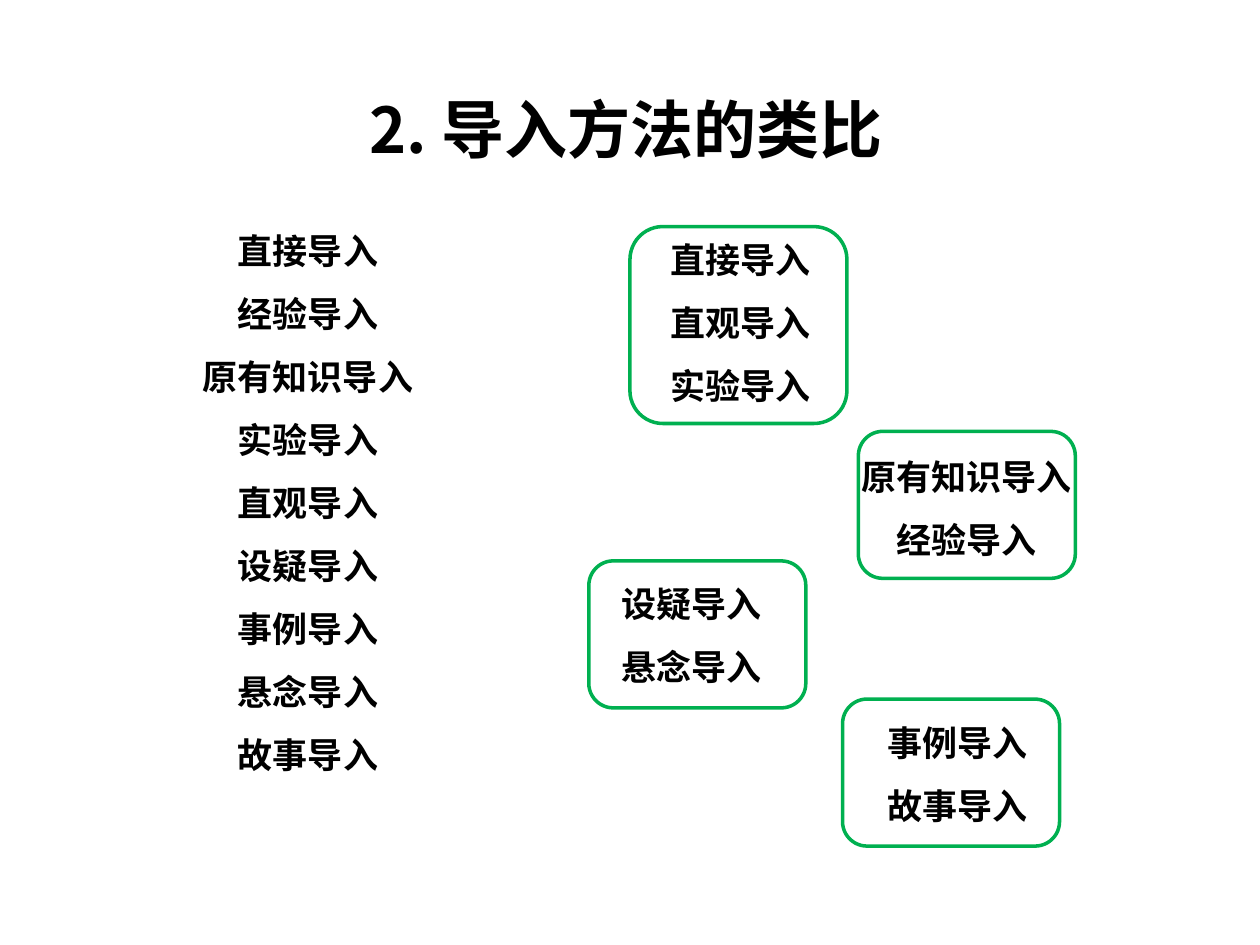
"""Build the slide that sorts lesson lead-in methods into groups."""

from dataclasses import dataclass

from lxml import etree
from pptx import Presentation
from pptx.dml.color import RGBColor
from pptx.enum.shapes import MSO_SHAPE
from pptx.enum.text import MSO_ANCHOR, MSO_AUTO_SIZE, PP_ALIGN
from pptx.oxml.ns import qn
from pptx.slide import Slide
from pptx.util import Pt

ROUNDED = MSO_SHAPE.ROUNDED_RECTANGLE
MIDDLE = MSO_ANCHOR.MIDDLE
GROW = MSO_AUTO_SIZE.SHAPE_TO_FIT_TEXT
CENTER = PP_ALIGN.CENTER

BLACK = RGBColor(0x00, 0x00, 0x00)
GREEN = RGBColor(0x00, 0xB0, 0x50)
FONT = "Noto Sans CJK SC"
LATIN_FONTS = {"经验导入": "Calibri"}
COLUMN_WIDTH = 149
ROW_HEIGHT = 36
FRAME_WIDTH = 124


@dataclass
class MethodList:
    left: float
    top: float
    methods: tuple[str, ...]


@dataclass
class Frame:
    left: float
    top: float
    height: float


METHOD_LISTS = (
    MethodList(472.5, 405.5, ("事例导入", "故事导入")),
    MethodList(101.5, 124, (
        "直接导入", "经验导入", "原有知识导入", "实验导入", "直观导入",
        "设疑导入", "事例导入", "悬念导入", "故事导入",
    )),
    MethodList(478, 253.5, ("原有知识导入", "经验导入")),
    MethodList(320.5, 326, ("设疑导入", "悬念导入")),
    MethodList(348.5, 129.5, ("直接导入", "直观导入", "实验导入")),
)
FRAMES = (
    Frame(360, 129.5, 112.5),
    Frame(490.5, 246.5, 84),
    Frame(336.5, 320.5, 84),
    Frame(481.5, 399.5, 84),
)


def format_paragraph(para, size: float) -> None:
    para.alignment = CENTER
    for span in para.runs:
        font = span.font
        font.size = Pt(size)
        font.bold = True
        font.color.rgb = BLACK
        font.name = LATIN_FONTS.get(span.text, FONT)
        etree.SubElement(span._r.get_or_add_rPr(), qn("a:ea"), typeface=FONT)


def add_title(page: Slide, title: str) -> None:
    box = page.shapes.add_textbox(Pt(73.5), Pt(26.5), Pt(568), Pt(72))
    frame = box.text_frame
    frame.word_wrap = True
    frame.auto_size = GROW
    frame.text = title
    para = frame.paragraphs[0]
    para.line_spacing = 1.5
    format_paragraph(para, 36)


def add_method_list(page: Slide, group: MethodList) -> None:
    count = len(group.methods)
    table = page.shapes.add_table(
        count, 1, Pt(group.left), Pt(group.top),
        Pt(COLUMN_WIDTH), Pt(ROW_HEIGHT * count),
    ).table
    table.first_row = False
    table.horz_banding = False
    for row, method in enumerate(group.methods):
        cell = table.cell(row, 0)
        cell.fill.background()
        cell.vertical_anchor = MIDDLE
        cell.text_frame.text = method
        format_paragraph(cell.text_frame.paragraphs[0], 20)


def add_frame(page: Slide, frame: Frame) -> None:
    shape = page.shapes.add_shape(
        ROUNDED, Pt(frame.left), Pt(frame.top), Pt(FRAME_WIDTH), Pt(frame.height)
    )
    shape.shadow.inherit = False
    shape.fill.background()
    shape.line.color.rgb = GREEN
    shape.line.width = Pt(2)


def main() -> None:
    deck = Presentation()
    deck.slide_width, deck.slide_height = Pt(720), Pt(540)
    page = deck.slides.add_slide(deck.slide_layouts[6])
    add_title(page, "2. 导入方法的类比")
    for group in METHOD_LISTS:
        add_method_list(page, group)
    for frame in FRAMES:
        add_frame(page, frame)
    deck.save("out.pptx")


if __name__ == "__main__":
    main()
